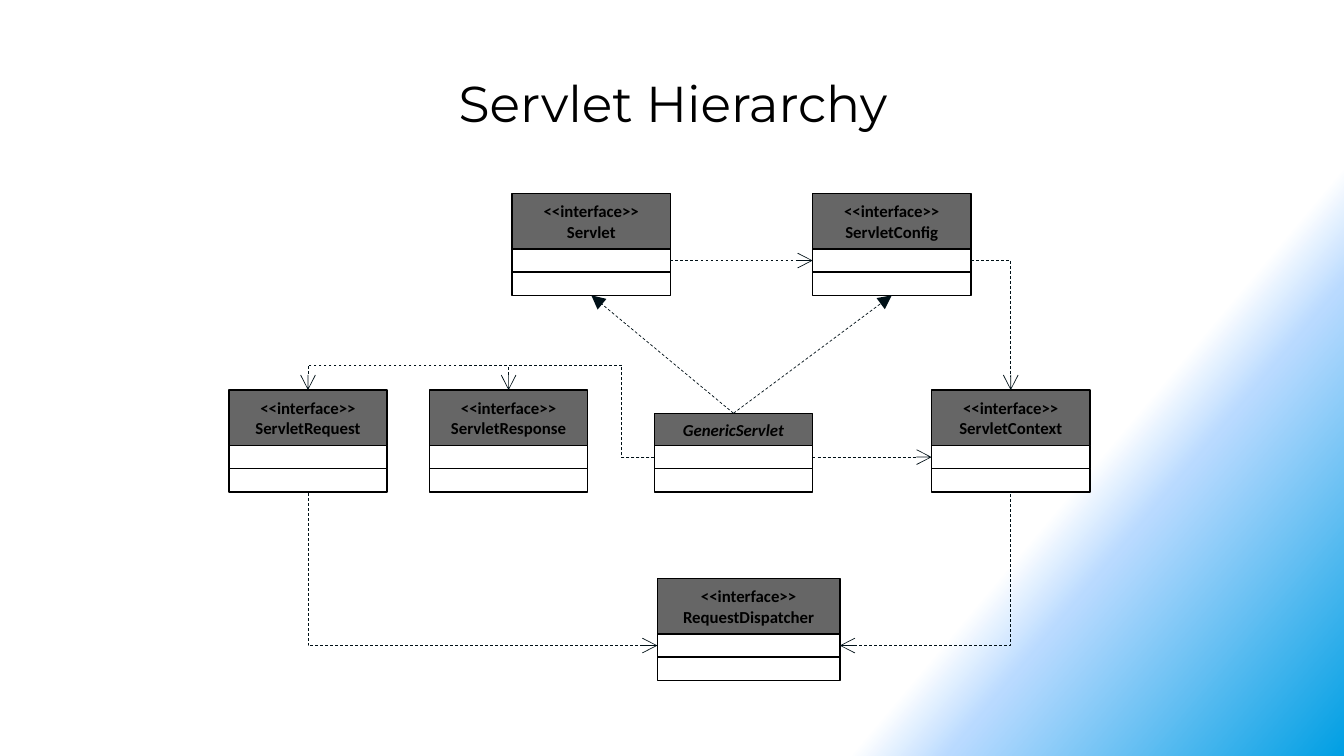
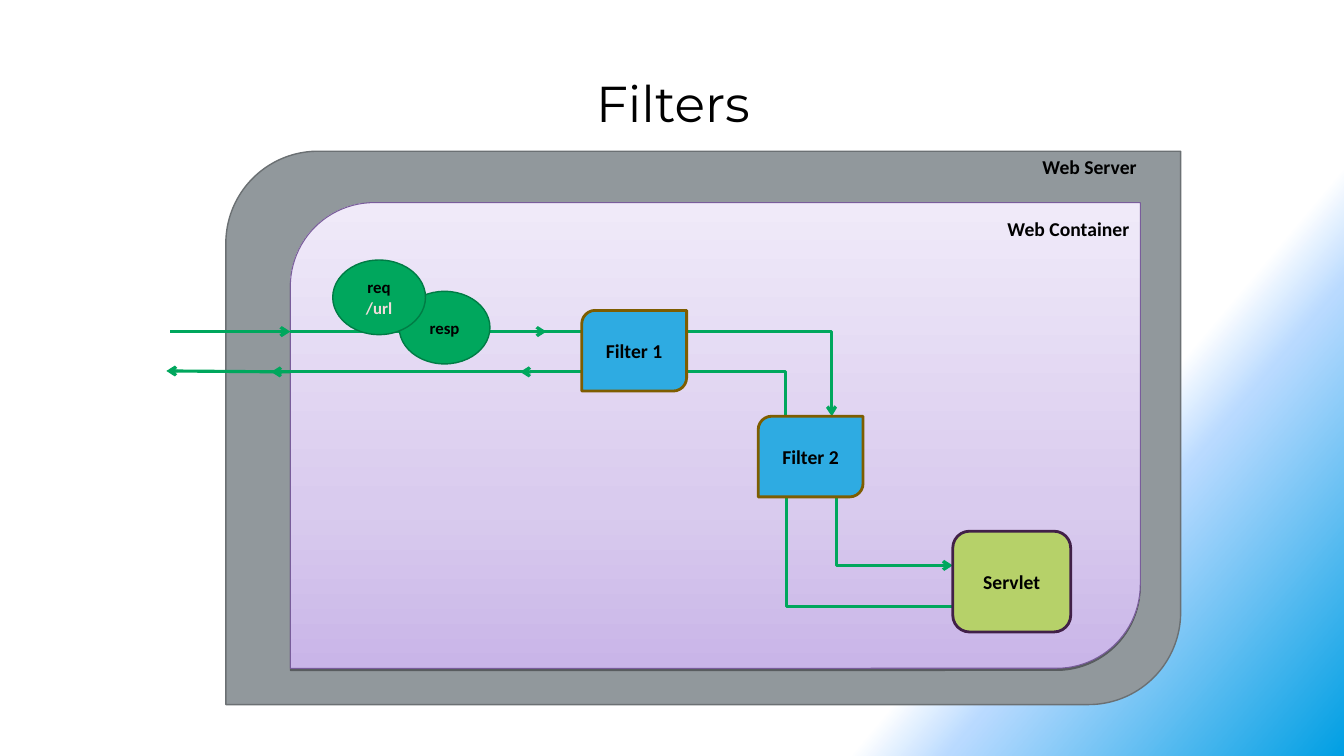
"""Build two slides on servlets: the class hierarchy and the filter chain."""
from lxml.etree import SubElement
from pptx import Presentation
from pptx.dml.color import RGBColor
from pptx.enum.dml import MSO_LINE
from pptx.enum.shapes import MSO_CONNECTOR, MSO_SHAPE
from pptx.enum.text import MSO_ANCHOR, PP_ALIGN
from pptx.oxml.ns import qn
from pptx.util import Inches, Pt

BLACK, WHITE, GRAY = "000000", "FFFFFF", "666666"
INK, GREEN, BLUE, BROWN = "001017", "00A75D", "2EABE2", "7E5D00"
color = RGBColor.from_string


def add_box(slide, kind, box, fill=None, outline=None, width=1, lines=(), size=12):
    """Add a filled preset shape with centred bold lines of text."""
    shape = slide.shapes.add_shape(kind, *map(Inches, box))
    shape.shadow.inherit = False
    if fill:
        shape.fill.solid()
        shape.fill.fore_color.rgb = color(fill)
        shape.line.color.rgb = color(outline)
        shape.line.width = Pt(width)
    else:
        shape.fill.background()
        shape.line.fill.background()
    frame = shape.text_frame
    frame.word_wrap = True
    frame.vertical_anchor = MSO_ANCHOR.MIDDLE
    frame.text = "\n".join(lines)
    for paragraph in frame.paragraphs:
        paragraph.alignment = PP_ALIGN.CENTER
        paragraph.font.name = "Calibri"
        paragraph.font.size = Pt(size)
        paragraph.font.bold = True
        paragraph.font.color.rgb = color(BLACK)
    return shape


def add_link(slide, points, preset, adjustments, stroke, width, arrow=None, end="tailEnd",
             dash=None, arrow_size="med"):
    """Add a straight or bent connector with an optional arrowhead."""
    link = slide.shapes.add_connector(MSO_CONNECTOR.STRAIGHT, *map(Inches, points))
    link.line.color.rgb = color(stroke)
    link.line.width = Pt(width)
    if dash:
        link.line.dash_style = dash
    properties = link._element.spPr
    geometry = properties.find(qn("a:prstGeom"))
    geometry.set("prst", preset)
    guides = geometry.find(qn("a:avLst"))
    if guides is None:
        guides = SubElement(geometry, qn("a:avLst"))
    for number, value in enumerate(adjustments, 1):
        name = "adj" if preset == "bentConnector2" else f"adj{number}"
        SubElement(guides, qn("a:gd"), name=name, fmla=f"val {value}")
    if arrow:
        SubElement(properties.find(qn("a:ln")), qn(f"a:{end}"),
                   type=arrow, w=arrow_size, len=arrow_size)
    SubElement(properties, qn("a:effectLst"))
    return link


presentation = Presentation()
presentation.slide_width = Inches(13.33)
presentation.slide_height = Inches(7.5)
master = presentation.slide_master
title_only = presentation.slide_layouts[5]

slides = []
for heading in ("Servlet Hierarchy", "Filters"):
    slide = presentation.slides.add_slide(title_only)
    title = slide.shapes.title
    title.left, title.top = Inches(0.66), Inches(0.67)
    title.width, title.height = Inches(12.03), Inches(1.22)
    title.text_frame.text = heading
    title.text_frame.vertical_anchor = MSO_ANCHOR.TOP
    paragraph = title.text_frame.paragraphs[0]
    paragraph.alignment = PP_ALIGN.CENTER
    paragraph.font.name = "Montserrat"
    paragraph.font.size = Pt(36)
    paragraph.font.color.rgb = color(BLACK)
    slides.append(slide)
hierarchy, filters = slides

ROW_HEIGHT = 0.23
classes = {}
for name, left, top, width, height in (
    ("Servlet", 5.08, 1.92, 1.57, 0.55),
    ("ServletConfig", 8.06, 1.92, 1.57, 0.55),
    ("ServletRequest", 2.27, 3.87, 1.57, 0.55),
    ("ServletResponse", 4.26, 3.87, 1.57, 0.55),
    ("GenericServlet", 6.49, 4.1, 1.57, 0.32),
    ("ServletContext", 9.24, 3.87, 1.57, 0.55),
    ("RequestDispatcher", 6.52, 5.74, 1.81, 0.55),
):
    abstract = name == "GenericServlet"
    lines = [name] if abstract else ["<<interface>>", name]
    header = add_box(hierarchy, MSO_SHAPE.RECTANGLE, (left, top, width, height),
                     GRAY, BLACK, lines=lines)
    if abstract:
        header.text_frame.paragraphs[0].font.italic = True
    rows = [add_box(hierarchy, MSO_SHAPE.RECTANGLE,
                    (left, top + height + row * ROW_HEIGHT, width, ROW_HEIGHT), WHITE, BLACK)
            for row in range(2)]
    classes[name] = [header, *rows]

HEADER, FIELDS, METHODS = range(3)
TOP, LEFT, BOTTOM, RIGHT = range(4)
for begin, finish, preset, adjustments, arrow, end in (
    (("GenericServlet", HEADER, TOP), ("Servlet", METHODS, BOTTOM),
     "line", (), "triangle", "tailEnd"),
    (("GenericServlet", HEADER, TOP), ("ServletConfig", METHODS, BOTTOM),
     "line", (), "triangle", "tailEnd"),
    (("GenericServlet", FIELDS, RIGHT), ("ServletContext", FIELDS, LEFT),
     "line", (), "arrow", "tailEnd"),
    (("Servlet", FIELDS, RIGHT), ("ServletConfig", FIELDS, LEFT),
     "line", (), "arrow", "tailEnd"),
    (("GenericServlet", FIELDS, LEFT), ("ServletRequest", HEADER, TOP),
     "bentConnector4", (9500, 137600), "arrow", "tailEnd"),
    (("GenericServlet", FIELDS, LEFT), ("ServletResponse", HEADER, TOP),
     "bentConnector4", (22900, 137600), "arrow", "tailEnd"),
    (("ServletConfig", FIELDS, RIGHT), ("ServletContext", HEADER, TOP),
     "bentConnector2", (), "arrow", "tailEnd"),
    (("RequestDispatcher", FIELDS, RIGHT), ("ServletContext", METHODS, BOTTOM),
     "bentConnector2", (), "arrow", "headEnd"),
    (("RequestDispatcher", FIELDS, LEFT), ("ServletRequest", METHODS, BOTTOM),
     "bentConnector2", (), "arrow", "headEnd"),
):
    link = add_link(hierarchy, (0, 0, 0, 0), preset, adjustments, INK, 0.5, arrow, end,
                    MSO_LINE.DASH, "lg")
    name, part, site = begin
    link.begin_connect(classes[name][part], site)
    name, part, site = finish
    link.end_connect(classes[name][part], site)

DIAGONAL = MSO_SHAPE.ROUND_2_DIAG_RECTANGLE
add_box(filters, DIAGONAL, (2.24, 1.5, 9.47, 5.49), "91989C", "6B7073")
container = add_box(filters, DIAGONAL, (2.88, 2.01, 8.43, 4.62), WHITE, "795D9B", 0.75)
container.adjustments[0] = 0.18

for label, box, alignment in (
    ("Web Server", (10.24, 1.49, 1.41, 0.45), PP_ALIGN.LEFT),
    ("Web Container", (8.66, 2.1, 2.64, 0.39), PP_ALIGN.RIGHT),
):
    text_box = filters.shapes.add_textbox(*map(Inches, box))
    text_box.text_frame.word_wrap = True
    text_box.text_frame.text = label
    paragraph = text_box.text_frame.paragraphs[0]
    paragraph.alignment = alignment
    paragraph.font.name = "Calibri"
    paragraph.font.size = Pt(14)
    paragraph.font.bold = True
    paragraph.font.color.rgb = color(BLACK)

for points, bend, arrow in (
    ((2.88, 3.69, 1.65, 3.68), None, "arrow"),
    ((1.69, 3.29, 2.88, 3.29), None, "arrow"),
    ((5.36, 3.29, 8.25, 4.13), 99900, "arrow"),
    ((2.88, 3.29, 5.42, 3.29), None, "arrow"),
    ((5.25, 3.69, 2.69, 3.69), None, "arrow"),
    ((7.79, 4.13, 5.16, 3.69), 100, "arrow"),
    ((7.79, 4.88, 9.45, 6.02), 700, None),
    ((8.25, 4.88, 9.45, 5.61), 3600, "arrow"),
):
    if bend is None:
        add_link(filters, points, "line", (), GREEN, 2.25, arrow)
    else:
        add_link(filters, points, "bentConnector3", (bend,), GREEN, 2.25, arrow)

for kind, box, fill, outline, width, lines, size in (
    (DIAGONAL, (5.77, 3.08, 1.04, 0.8), BLUE, BROWN, 2, ["Filter 1"], 14),
    (DIAGONAL, (7.52, 4.13, 1.04, 0.8), BLUE, BROWN, 2, ["Filter 2"], 14),
    (MSO_SHAPE.ROUNDED_RECTANGLE, (9.45, 5.27, 1.17, 1), "B6D169", "412048", 2, ["Servlet"], 14),
    (MSO_SHAPE.OVAL, (3.96, 2.89, 0.9, 0.72), GREEN, "007C45", 1, ["resp"], 12),
):
    add_box(filters, kind, box, fill, outline, width, lines, size)
request = add_box(filters, MSO_SHAPE.OVAL, (3.3, 2.58, 0.92, 0.74), GREEN, "007C45",
                  lines=["req", "/url"])
request.text_frame.paragraphs[1].font.color.rgb = color("F2DBDB")

for fill, element, angle, stops in (
    (master.background.fill, master._element, 40,
     ((75, WHITE, 100), (80, "B9DAFF", 50), (100, "009FE3", 100))),
    (container.fill, container._element, 270,
     ((0, "C9B5E8", 100), (35, "D9CBEE", 100), (100, "F0EAF9", 100))),
):
    fill.gradient()
    fill.gradient_angle = 360 - angle
    stop_list = next(element.iter(qn("a:gsLst")))
    for stop in list(stop_list):
        stop_list.remove(stop)
    for position, stop_color, opacity in stops:
        stop = SubElement(stop_list, qn("a:gs"), pos=str(position * 1000))
        value = SubElement(stop, qn("a:srgbClr"), val=stop_color)
        if opacity < 100:
            SubElement(value, qn("a:alpha"), val=str(opacity * 1000))

effects = container._element.spPr.find(qn("a:effectLst"))
shadow = SubElement(effects, qn("a:outerShdw"), blurRad="0", dist=str(Pt(1.6)),
                    dir="5400000", rotWithShape="0")
shade = SubElement(shadow, qn("a:srgbClr"), val=BLACK)
SubElement(shade, qn("a:alpha"), val="38000")

presentation.save("out.pptx")
